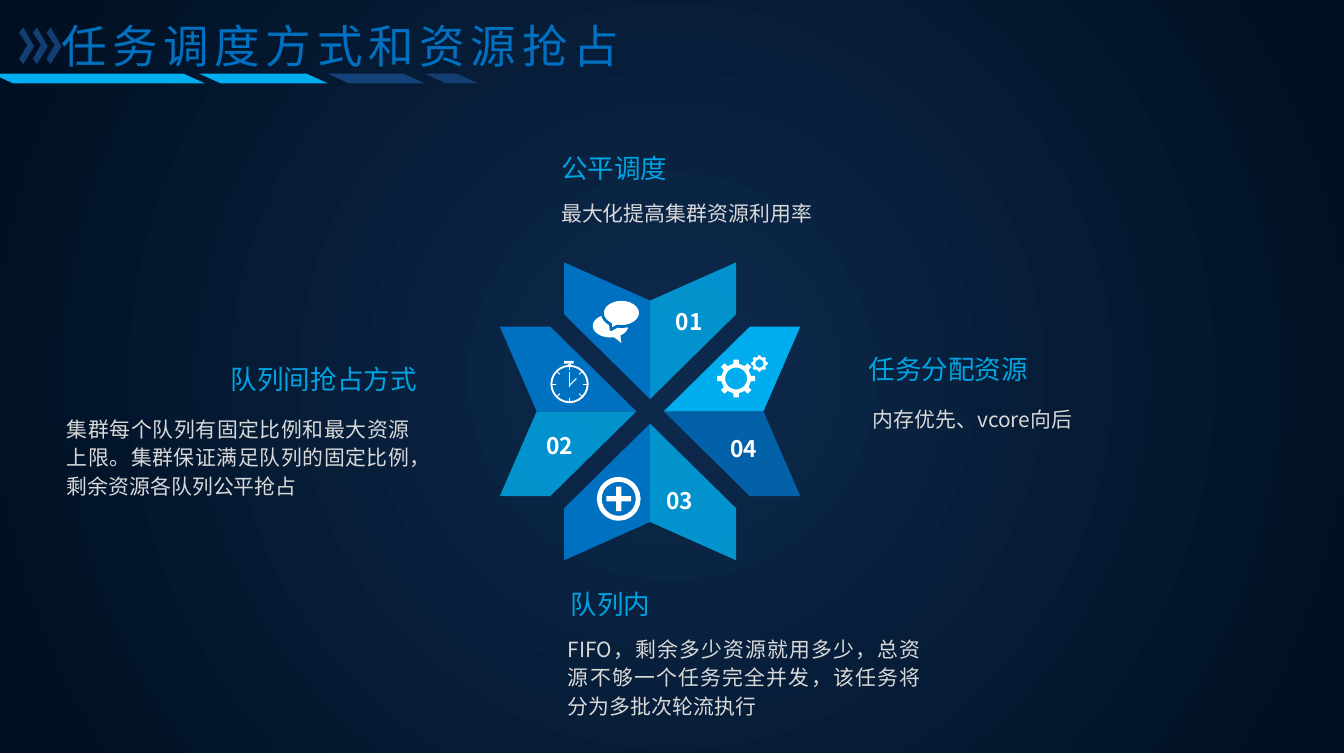
from math import cos, pi, sin

from lxml import etree
from pptx import Presentation
from pptx.dml.color import RGBColor
from pptx.enum.shapes import MSO_CONNECTOR, MSO_SHAPE
from pptx.enum.text import MSO_AUTO_SIZE, PP_ALIGN
from pptx.oxml.ns import qn
from pptx.util import Inches, Pt

STRAIGHT = MSO_CONNECTOR.STRAIGHT
CALLOUT = MSO_SHAPE.OVAL_CALLOUT
CROSS = MSO_SHAPE.CROSS
DONUT = MSO_SHAPE.DONUT
PARALLELOGRAM = MSO_SHAPE.PARALLELOGRAM
RECTANGLE = MSO_SHAPE.RECTANGLE
FIT_SHAPE = MSO_AUTO_SIZE.SHAPE_TO_FIT_TEXT
JUSTIFY = PP_ALIGN.JUSTIFY

FONT = "Noto Sans CJK SC"
BLUE, SKY, NAVY, DARK_NAVY = "0070C0", "00AEEF", "14427A", "133E73"
HEADING, BODY, WHITE = "00A4E3", "D9D9D9", "FFFFFF"


def color(value):
    return RGBColor.from_string(value)


def add_text(paragraph, text, size, fill, bold=False, spacing=0):
    run = paragraph.add_run()
    run.text = text
    font = run.font
    font.name, font.size, font.bold = FONT, Pt(size), bold
    font.color.rgb = color(fill)
    properties = run._r.get_or_add_rPr()
    etree.SubElement(properties, qn("a:ea"), typeface=FONT)
    if spacing:
        properties.set("spc", str(spacing * 100))


def gear_outline(x, y, root, tip, half_width, teeth=8):
    points = []
    for tooth in range(teeth):
        angle = 2 * pi * tooth / teeth
        for radius, side in ((root, -1), (tip, -1), (tip, 1), (root, 1)):
            turn = angle + side * half_width / radius
            points.append((x + radius * cos(turn), y + radius * sin(turn)))
    return points


def circle_outline(x, y, radius, steps=48):
    angles = [2 * pi * step / steps for step in range(steps)]
    return [(x + radius * cos(a), y + radius * sin(a)) for a in angles]


class SlideBuilder:
    def __init__(self, slide):
        self.slide = slide
        self.shapes = slide.shapes

    def background(self, inner, outer):
        fill = self.slide.background.fill
        fill.gradient()
        for stop, value, position in zip(fill.gradient_stops, (inner, outer), (0, 0.97)):
            stop.color.rgb = color(value)
            stop.position = position
        linear = self.slide._element.find(".//" + qn("a:lin"))
        circle = etree.Element(qn("a:path"), path="circle")
        edges = dict.fromkeys("ltrb", "50000")
        etree.SubElement(circle, qn("a:fillToRect"), **edges)
        linear.getparent().replace(linear, circle)

    def paint(self, shape, fill, opacity=100, outline=None):
        shape.shadow.inherit = False
        shape.fill.solid()
        shape.fill.fore_color.rgb = color(fill)
        if opacity < 100:
            value = shape._element.spPr.find(".//" + qn("a:srgbClr"))
            etree.SubElement(value, qn("a:alpha"), val=str(opacity * 1000))
        if outline:
            shape.line.color.rgb = color(outline)
            shape.line.width = Pt(1.5)
        else:
            shape.line.fill.background()

    def preset(self, kind, box, fill, adjustments=(), flip=False, outline=None):
        shape = self.shapes.add_shape(kind, *map(Inches, box))
        for index, value in enumerate(adjustments):
            shape.adjustments[index] = value
        if flip:
            shape._element.spPr.find(qn("a:xfrm")).set("flipV", "1")
        self.paint(shape, fill, outline=outline)

    def outline(self, contours, fill, opacity=100):
        contours = [[(Inches(x), Inches(y)) for x, y in points] for points in contours]
        builder = self.shapes.build_freeform(*contours[0][0])
        for index, points in enumerate(contours):
            if index:
                builder.move_to(*points[0])
            builder.add_line_segments(points[1:], close=True)
        self.paint(builder.convert_to_shape(), fill, opacity)

    def line(self, start, end, fill, width):
        connector = self.shapes.add_connector(STRAIGHT, *map(Inches, (*start, *end)))
        connector.line.color.rgb = color(fill)
        connector.line.width = Pt(width)
        etree.SubElement(connector._element.spPr, qn("a:effectLst"))

    def text(self, box, text, wrap=False, **style):
        frame = self.shapes.add_textbox(*map(Inches, box)).text_frame
        frame.word_wrap = wrap
        frame.auto_size = FIT_SHAPE
        paragraph = frame.paragraphs[0]
        if wrap:
            paragraph.alignment = JUSTIFY
            paragraph.line_spacing = 1.14
        add_text(paragraph, text, **style)


def draw_header(builder):
    bars = ((-0.06, 1.56, SKY), (1.46, 0.94, SKY), (2.4, 0.71, NAVY), (3.11, 0.39, DARK_NAVY))
    for left, width, fill in bars:
        builder.preset(PARALLELOGRAM, (left, 0.54, width, 0.07), fill, [2.21], flip=True)
    builder.text((0.35, 0.08, 4.37, 0.5), "任务调度方式和资源抢占", size=24, fill=BLUE, spacing=3)
    chevron = ((0, 0.24), (0.03, 0.2), (0.11, 0.34), (0.03, 0.47), (0, 0.43), (0.06, 0.33))
    for left in (0.14, 0.24, 0.34):
        builder.outline([[(left + x, y) for x, y in chevron]], DARK_NAVY)


def draw_topics(builder):
    topics = (
        ("公平调度", (4.01, 1.06, 0.99, 0.34),
         "最大化提高集群资源利用率", (4.01, 1.39, 2.78, 0.31)),
        ("任务分配资源", (6.26, 2.53, 1.38, 0.34),
         "内存优先、vcore向后", (6.29, 2.9, 2.92, 0.31)),
        ("队列间抢占方式", (1.59, 2.61, 1.58, 0.34),
         "集群每个队列有固定比例和最大资源上限。集群保证满足队列的固定比例，剩余资源各队列公平抢占",
         (0.39, 2.97, 2.71, 0.72)),
        ("队列内", (4.08, 4.25, 0.79, 0.34),
         "FIFO，剩余多少资源就用多少，总资源不够一个任务完全并发，该任务将分为多批次轮流执行",
         (4.06, 4.58, 2.78, 0.72)),
    )
    for heading, heading_box, body, body_box in topics:
        builder.text(heading_box, heading, size=14, fill=HEADING)
        builder.text(body_box, body, wrap=True, size=11, fill=BODY)


def draw_star(builder):
    center_x, center_y = 4.76, 3.01
    vertical = ((0.63, 1.09), (0, 0.81), (0, 0.09), (0.63, 0.71))
    horizontal = ((1.1, 0.62), (0.83, 0), (0.1, 0), (0.73, 0.62))
    petals = (
        (vertical, 1, -1, SKY, 80), (vertical, -1, -1, BLUE, 100),
        (horizontal, -1, 1, SKY, 80), (horizontal, -1, -1, BLUE, 100),
        (vertical, -1, 1, BLUE, 100), (vertical, 1, 1, SKY, 80),
        (horizontal, 1, 1, BLUE, 80), (horizontal, 1, -1, SKY, 100),
    )
    for petal, side_x, side_y, fill, opacity in petals:
        points = [(center_x + side_x * x, center_y + side_y * y) for x, y in petal]
        builder.outline([points], fill, opacity)
    numbers = (("01", 4.85, 2.2), ("02", 3.9, 3.11), ("03", 4.78, 3.51), ("04", 5.25, 3.13))
    for number, left, top in numbers:
        builder.text((left, top, 0.41, 0.3), number, size=12, fill=WHITE, bold=True)


def draw_speech_icon(builder):
    builder.preset(CALLOUT, (4.34, 2.3, 0.26, 0.17), WHITE, [0.31, 0.74])
    builder.preset(CALLOUT, (4.41, 2.19, 0.28, 0.2), WHITE, [-0.27, 0.61], outline=BLUE)


def draw_stopwatch_icon(builder):
    x, y = 4.17, 2.81
    builder.preset(DONUT, (4.03, 2.67, 0.28, 0.28), WHITE, [0.05])
    builder.preset(RECTANGLE, (4.13, 2.64, 0.07, 0.02), WHITE)
    builder.preset(RECTANGLE, (4.16, 2.66, 0.02, 0.02), WHITE)
    builder.line((x, 2.72), (x, 2.83), WHITE, 0.75)
    builder.line((x, 2.82), (4.22, 2.77), WHITE, 0.5)
    for tick in range(8):
        across, down = cos(tick * pi / 4), sin(tick * pi / 4)
        start, end = ((x + r * across, y + r * down) for r in (0.1, 0.13))
        builder.line(start, end, WHITE, 0.5)


def draw_plus_icon(builder):
    builder.preset(DONUT, (4.37, 3.49, 0.32, 0.32), WHITE, [0.11])
    builder.preset(CROSS, (4.44, 3.56, 0.18, 0.18), WHITE, [0.39])


def draw_gears_icon(builder):
    gears = ((5.39, 2.77, 0.11, 0.14, 0.02, 0.08), (5.56, 2.66, 0.05, 0.06, 0.01, 0.03))
    for x, y, root, tip, half_width, hole in gears:
        contours = [gear_outline(x, y, root, tip, half_width), circle_outline(x, y, hole)]
        builder.outline(contours, WHITE)


def main():
    presentation = Presentation()
    presentation.slide_width = Inches(9.84)
    presentation.slide_height = Inches(5.51)
    builder = SlideBuilder(presentation.slides.add_slide(presentation.slide_layouts[6]))
    builder.background("0D2A4D", "000F21")
    draw_topics(builder)
    draw_star(builder)
    draw_speech_icon(builder)
    draw_stopwatch_icon(builder)
    draw_plus_icon(builder)
    draw_gears_icon(builder)
    draw_header(builder)
    presentation.save("out.pptx")


if __name__ == "__main__":
    main()
